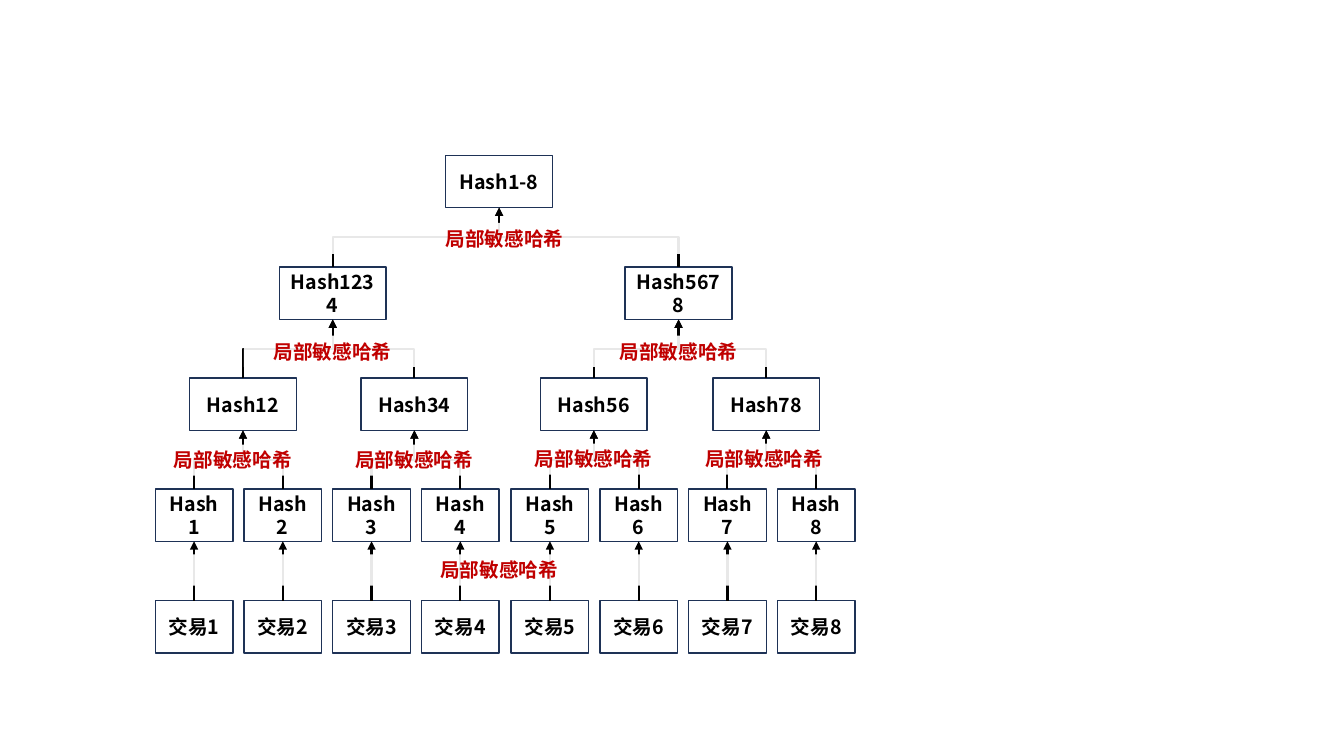
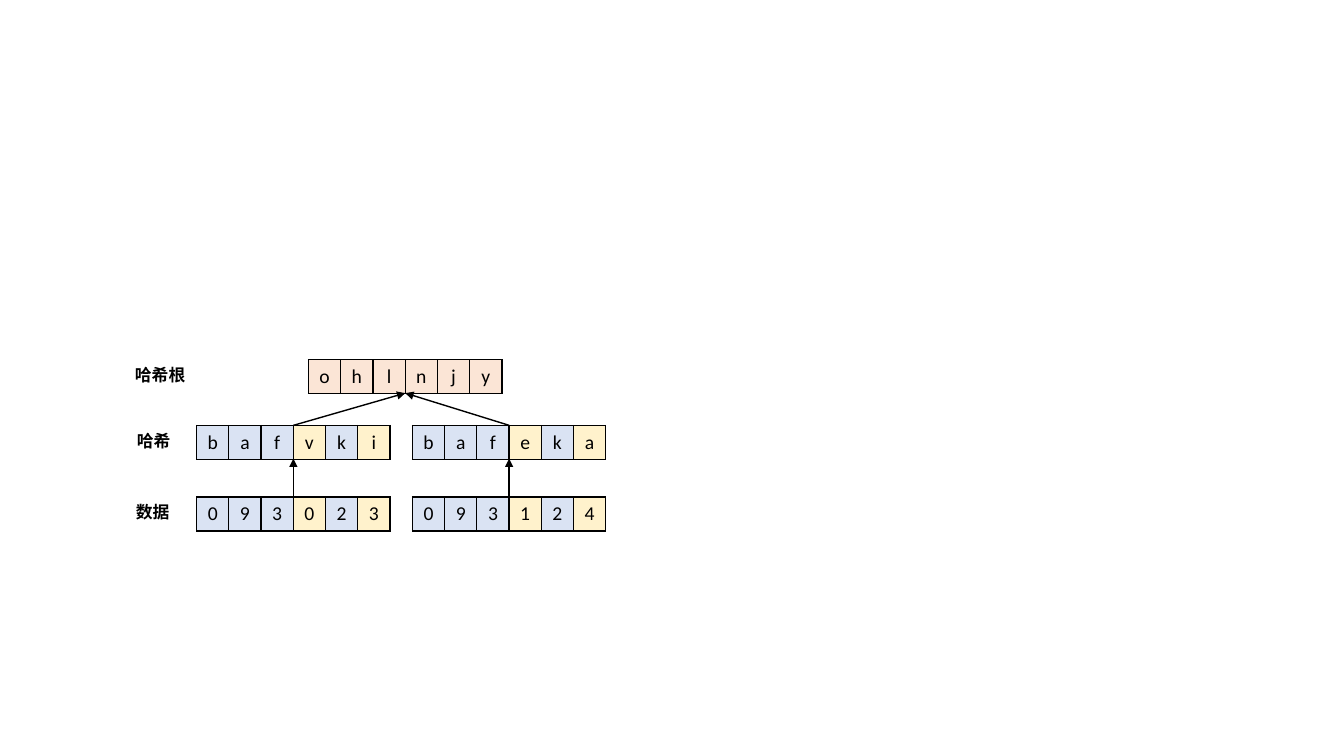
from itertools import pairwise

from lxml import etree
from pptx import Presentation
from pptx.dml.color import RGBColor
from pptx.enum import shapes, text
from pptx.oxml.ns import qn
from pptx.util import Pt

PX = 9144
CJK = "Noto Sans CJK SC"
LATIN = "Calibri"
BLACK, WHITE, NAVY, RED = "000000", "FFFFFF", "1E3256", "C00000"
BLUE, YELLOW, PEACH = "DAE3F3", "FFF2CC", "FBE5D6"

BOX_H = 52
LEAF_W, NODE_W = 77, 106
LEAF_LEFTS = [154 + round(617 * i / 7) for i in range(8)]
LEVELS = [
    (596, LEAF_W, LEAF_LEFTS, [f"交易{i}" for i in range(1, 9)]),
    (485, LEAF_W, LEAF_LEFTS, [f"Hash{i}" for i in range(1, 9)]),
    (375, NODE_W, [188, 358, 536, 707], ["Hash12", "Hash34", "Hash56", "Hash78"]),
    (265, NODE_W, [277, 620], ["Hash1234", "Hash5678"]),
    (154, NODE_W, [442], ["Hash1-8"]),
]
BANDS = [
    (294, 221, 413), (242, 333, 176), (585, 333, 176),
    (143, 441, 176), (323, 441, 176), (501, 440, 176), (670, 440, 176),
    (149, 550, 692),
]

CELL_W, CELL_H = 32, 33
ROOT_Y, HASH_Y, DATA_Y = 357, 422, 493
ROOT_X = 306
COLUMNS = [(195, "bafvki", "093023"), (409, "bafeka", "093124")]
PLAIN_FILLS = [PEACH] * 6
MARKED_FILLS = [BLUE, BLUE, BLUE, YELLOW, BLUE, YELLOW]


def emu(*lengths):
    return [round(n * PX) for n in lengths]


def rgb(value):
    return RGBColor.from_string(value)


def paint(fill, color):
    fill.solid()
    fill.fore_color.rgb = rgb(color)


def write(tf, words, size, color=BLACK, font=CJK, bold=True, align=text.PP_ALIGN.CENTER):
    tf.text = words
    p = tf.paragraphs[0]
    p.alignment = align
    p.font.size = Pt(size)
    p.font.name = font
    p.font.bold = bold
    p.font.color.rgb = rgb(color)
    if font == CJK:
        latin = p.font._element.find(qn("a:latin"))
        ea = etree.Element(qn("a:ea"), typeface=font)
        latin.addnext(ea)


def add_rect(slide, x, y, w, h, words, color):
    sp = slide.shapes.add_shape(shapes.MSO_SHAPE.RECTANGLE, *emu(x, y, w, h))
    sp.shadow.inherit = False
    paint(sp.fill, WHITE)
    sp.text_frame.vertical_anchor = text.MSO_ANCHOR.MIDDLE
    write(sp.text_frame, words, 14, color)
    return sp


def add_node(slide, x, y, w, words):
    sp = add_rect(slide, x, y, w, BOX_H, words, BLACK)
    sp.line.color.rgb = rgb(NAVY)
    sp.line.width = Pt(1)
    return sp


def add_band(slide, x, y, w):
    sp = add_rect(slide, x, y, w, 31, "局部敏感哈希", RED)
    sp.line.fill.background()
    color = sp.fill._xPr.find(qn("a:solidFill"))[0]
    etree.SubElement(color, qn("a:alpha"), val="91000")


def add_arrow(slide, kind, start, end, width):
    line = slide.shapes.add_connector(kind, *emu(*start, *end))
    line.line.color.rgb = rgb(BLACK)
    line.line.width = Pt(width)
    etree.SubElement(line.line._get_or_add_ln(), qn("a:tailEnd"), type="triangle")
    etree.SubElement(line._element.spPr, qn("a:effectLst"))
    return line


def join_straight(slide, child, parent):
    line = add_arrow(slide, shapes.MSO_CONNECTOR.STRAIGHT, (0, 0), (0, 0), 1.5)
    line.begin_connect(child, 0)
    line.end_connect(parent, 2)


def join_bent(slide, child, parent):
    x1, y1 = (child.left + child.width / 2) / PX, child.top / PX
    x2, y2 = (parent.left + parent.width / 2) / PX, (parent.top + parent.height) / PX
    mid_x, mid_y = (x1 + x2) / 2, (y1 + y2) / 2
    rise, run = (y1 - y2) / 2, abs(x1 - x2) / 2
    side, turn = (1, 90) if x1 < x2 else (-1, 270)
    start = mid_x + side * rise, mid_y + run
    end = mid_x - side * rise, mid_y - run
    line = add_arrow(slide, shapes.MSO_CONNECTOR.ELBOW, start, end, 1.5)
    line._element.spPr.find(qn("a:xfrm")).set("rot", str(turn * 60000))


def add_cells(slide, x, y, letters, fills):
    frame = slide.shapes.add_table(1, len(letters), *emu(x, y, CELL_W * len(letters), CELL_H))
    table = frame.table
    table.first_row = table.horz_banding = False
    for column, cell, letter, fill in zip(table.columns, table.rows[0].cells, letters, fills):
        column.width = CELL_W * PX
        cell.vertical_anchor = text.MSO_ANCHOR.MIDDLE
        write(cell.text_frame, letter, 14, font=LATIN, bold=False)
        add_borders(cell)
        paint(cell.fill, fill)


def add_borders(cell):
    tc_pr = cell._tc.get_or_add_tcPr()
    for side in "LRTB":
        ln = etree.SubElement(tc_pr, qn(f"a:ln{side}"), w=str(Pt(1)))
        solid = etree.SubElement(ln, qn("a:solidFill"))
        etree.SubElement(solid, qn("a:srgbClr"), val=BLACK)


def add_label(slide, x, y, w, words):
    sp = slide.shapes.add_textbox(*emu(x, y, w, 30))
    tf = sp.text_frame
    tf.word_wrap = False
    tf.auto_size = text.MSO_AUTO_SIZE.SHAPE_TO_FIT_TEXT
    write(tf, words, 12, align=text.PP_ALIGN.LEFT)


def build_tree(slide):
    levels = [
        [add_node(slide, x, y, w, words) for x, words in zip(lefts, names)]
        for y, w, lefts, names in LEVELS
    ]
    for children, parents in pairwise(levels):
        for i, child in enumerate(children):
            if len(children) == len(parents):
                join_straight(slide, child, parents[i])
            else:
                join_bent(slide, child, parents[i // 2])
    for band in BANDS:
        add_band(slide, *band)


def build_example(slide):
    half = 3 * CELL_W
    straight = shapes.MSO_CONNECTOR.STRAIGHT
    add_cells(slide, ROOT_X, ROOT_Y, "ohlnjy", PLAIN_FILLS)
    for x, hashed, data in COLUMNS:
        add_cells(slide, x, HASH_Y, hashed, MARKED_FILLS)
        add_cells(slide, x, DATA_Y, data, MARKED_FILLS)
        mid = x + half
        add_arrow(slide, straight, (mid, DATA_Y), (mid, HASH_Y + CELL_H), 1)
        add_arrow(slide, straight, (mid, HASH_Y), (ROOT_X + half, ROOT_Y + CELL_H), 1)
    add_label(slide, 124, ROOT_Y, 71, "哈希根")
    add_label(slide, 126, HASH_Y, 54, "哈希")
    add_label(slide, 125, DATA_Y, 54, "数据")


def main():
    prs = Presentation()
    prs.slide_width, prs.slide_height = emu(1333, 750)
    for build in (build_tree, build_example):
        build(prs.slides.add_slide(prs.slide_layouts[6]))
    prs.save("out.pptx")


if __name__ == "__main__":
    main()
